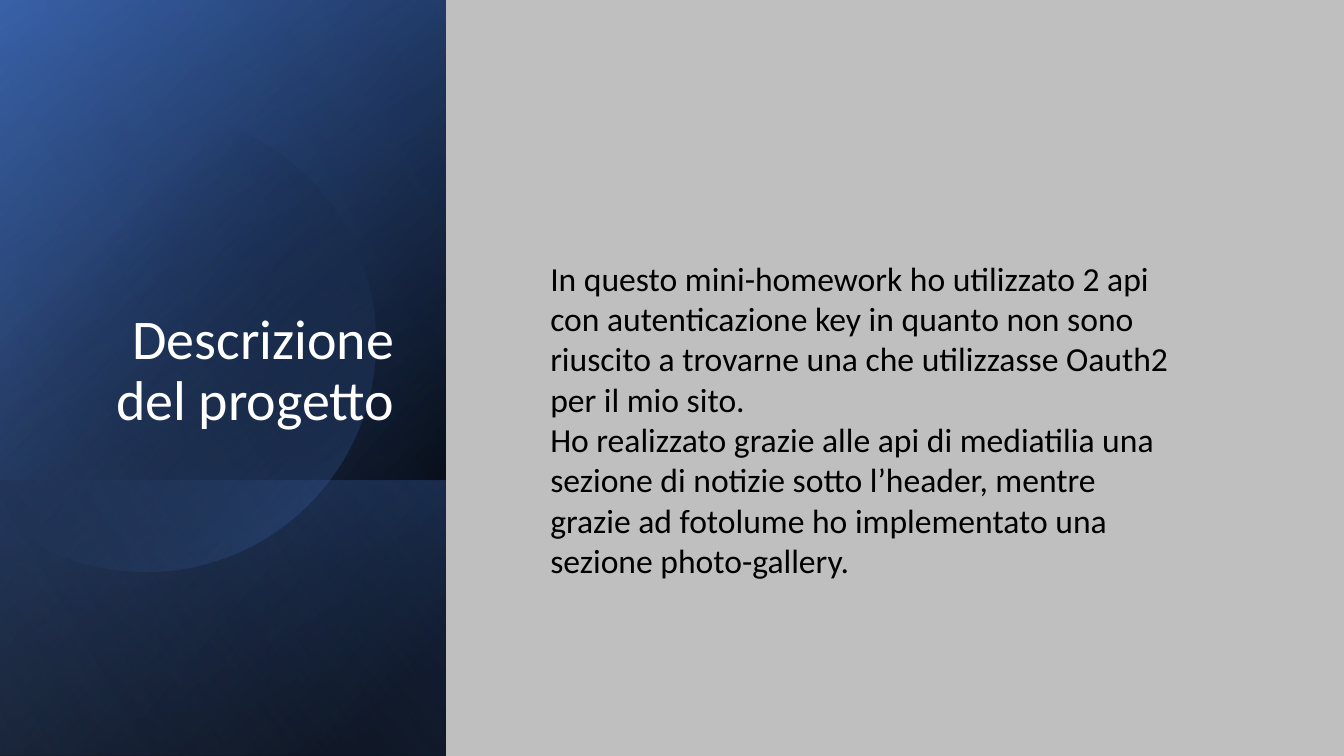
"""Build the project description slide with a layered blue gradient panel."""
from itertools import pairwise
from math import cos, radians, sin, tan

from lxml.etree import SubElement
from pptx import Presentation
from pptx.dml.color import RGBColor
from pptx.enum.shapes import MSO_SHAPE as SHAPE
from pptx.enum.text import MSO_ANCHOR as ANCHOR, MSO_AUTO_SIZE as AUTO_SIZE, PP_ALIGN as ALIGN
from pptx.oxml.ns import qn
from pptx.util import Pt

TITLE = ["Descrizione del progetto"]
DESCRIPTION = [
    "In questo mini-homework ho utilizzato 2 api con autenticazione key in quanto non sono "
    "riuscito a trovarne una che utilizzasse Oauth2 per il mio sito.",
    "Ho realizzato grazie alle api di mediatilia una sezione di notizie sotto l’header, mentre "
    "grazie ad fotolume ho implementato una sezione photo-gallery.",
]

BLACK = RGBColor(0x00, 0x00, 0x00)
WHITE = RGBColor(0xFF, 0xFF, 0xFF)
GREY = RGBColor(0xBF, 0xBF, 0xBF)
NAVY = RGBColor(0x2F, 0x55, 0x97)
BLUE = RGBColor(0x44, 0x72, 0xC4)
PALE_BLUE = RGBColor(0x8F, 0xAA, 0xDC)

WIDTH, HEIGHT = 960, 540
PANEL_WIDTH = 318.5
FOOT_TOP = 343
DISC_X, DISC_Y, DISC_RADIUS = 104, 243.5, 164.5
DISC_ANGLES = [-134, -90, 0, 90, 134]

BASE = (50, [(8, BLACK, 100), (100, NAVY, 100)])
GLOW = (30, [(0, BLACK, 0), (99, BLUE, 46)])
FOOT = (130, [(2, BLUE, 29), (100, BLACK, 30)])
DISC = (46, [(29, BLACK, 0), (100, BLUE, 43)])
SHEEN = (120, [(0, BLACK, 0), (99, PALE_BLUE, 11)])


def finish(shape, gradient):
    angle, stops = gradient
    shape.shadow.inherit = False
    shape.line.fill.background()
    shape.fill.gradient()
    shape.fill.gradient_angle = 360 - angle
    for stop, (position, color, _) in zip(shape.fill.gradient_stops, stops):
        stop.position = position / 100
        stop.color.rgb = color
    colors = shape._element.spPr.findall(".//" + qn("a:srgbClr"))
    for color, (_, _, opacity) in zip(colors, stops):
        SubElement(color, qn("a:alpha"), val=str(opacity * 1000))


def add_layer(slide, top, gradient):
    height = HEIGHT - top
    left = (PANEL_WIDTH - height) / 2
    upright_top = top + (height - PANEL_WIDTH) / 2
    layer = slide.shapes.add_shape(
        SHAPE.RECTANGLE, Pt(left), Pt(upright_top), Pt(height), Pt(PANEL_WIDTH))
    layer.rotation = 90
    layer._element.spPr.find(qn("a:xfrm")).set("flipH", "1")
    finish(layer, gradient)


def rim_point(angle, tangent=0):
    x, y = cos(radians(angle)), sin(radians(angle))
    return DISC_X + DISC_RADIUS * (x - tangent * y), DISC_Y + DISC_RADIUS * (y + tangent * x)


def add_disc(slide):
    builder = slide.shapes.build_freeform(*rim_point(DISC_ANGLES[0]), scale=Pt(1))
    for start, end in pairwise(DISC_ANGLES):
        pull = 4 / 3 * tan(radians(end - start) / 4)
        builder.add_line_segments(
            [rim_point(start, pull), rim_point(end, -pull), rim_point(end)], close=False)
    builder.add_line_segments([], close=True)
    disc = builder.convert_to_shape()
    outline = disc._element.spPr.find(".//" + qn("a:pathLst"))[0]
    lines = outline.findall(qn("a:lnTo"))
    for first in range(0, len(lines), 3):
        curve = SubElement(outline, qn("a:cubicBezTo"))
        lines[first].addprevious(curve)
        for line in lines[first:first + 3]:
            curve.append(line[0])
            outline.remove(line)
    finish(disc, DISC)


def add_text(slide, box, lines, size, color, frame_format, line_format):
    frame = slide.shapes.add_textbox(*map(Pt, box)).text_frame
    for name, value in frame_format.items():
        setattr(frame, name, value)
    frame.text = "\n".join(lines)
    for paragraph in frame.paragraphs:
        for name, value in line_format.items():
            setattr(paragraph, name, value)
        for name, value in {"size": Pt(size), "name": "Calibri"}.items():
            setattr(paragraph.runs[0].font, name, value)
        paragraph.runs[0].font.color.rgb = color


def main():
    deck = Presentation()
    deck.slide_width, deck.slide_height = Pt(WIDTH), Pt(HEIGHT)
    slide = deck.slides.add_slide(deck.slide_layouts[6])
    slide.background.fill.solid()
    slide.background.fill.fore_color.rgb = GREY

    backdrop = slide.shapes.add_shape(SHAPE.RECTANGLE, 0, 0, Pt(WIDTH), Pt(HEIGHT))
    backdrop.shadow.inherit = False
    backdrop.line.fill.background()
    backdrop.fill.solid()
    backdrop.fill.fore_color.rgb = GREY

    for top, gradient in [(0, BASE), (0, GLOW), (FOOT_TOP, FOOT)]:
        add_layer(slide, top, gradient)
    add_disc(slide)
    add_layer(slide, 0, SHEEN)

    add_text(slide, (36.7, 46, 252, 266.5), TITLE, 40, WHITE,
             {"word_wrap": True, "vertical_anchor": ANCHOR.BOTTOM},
             {"alignment": ALIGN.RIGHT, "line_spacing": 0.9})
    add_text(slide, (386, 180.5, 460, 240), DESCRIPTION, 24, BLACK,
             {"word_wrap": True, "auto_size": AUTO_SIZE.SHAPE_TO_FIT_TEXT},
             {"alignment": ALIGN.LEFT})
    deck.save("out.pptx")


if __name__ == "__main__":
    main()
